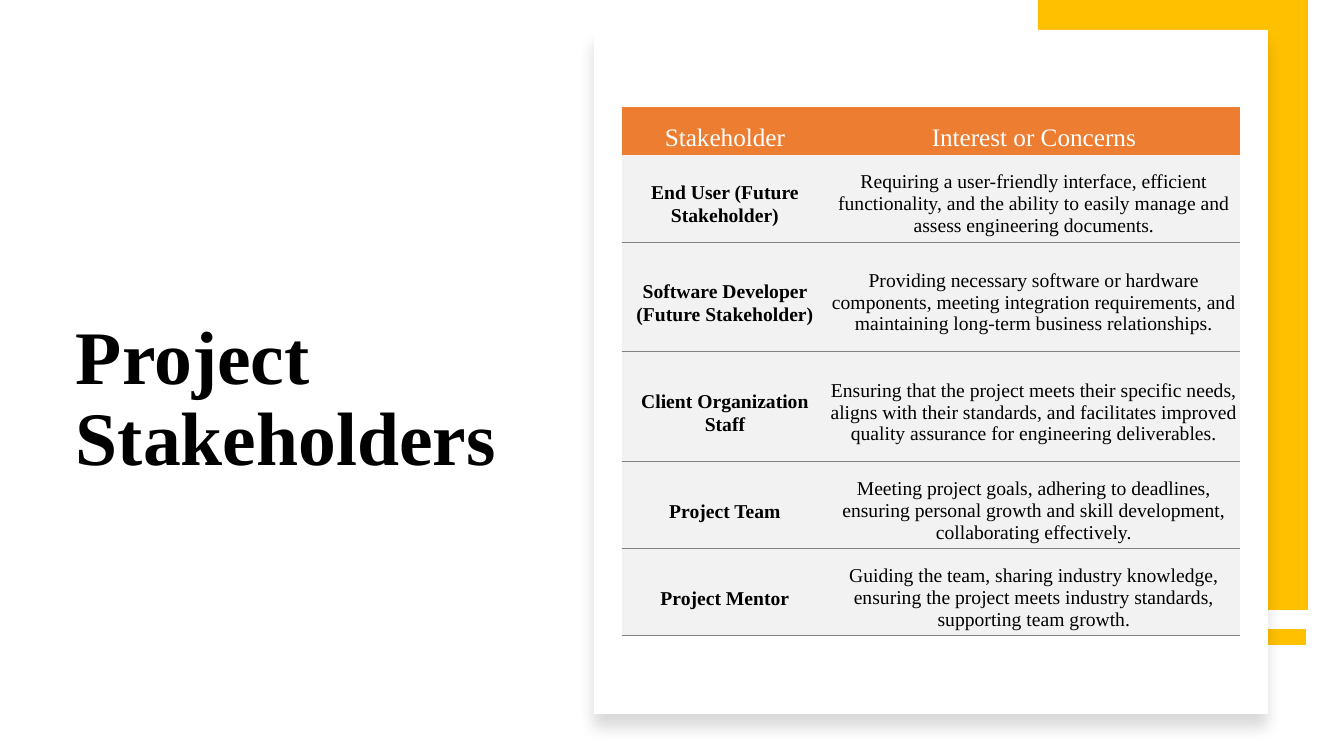
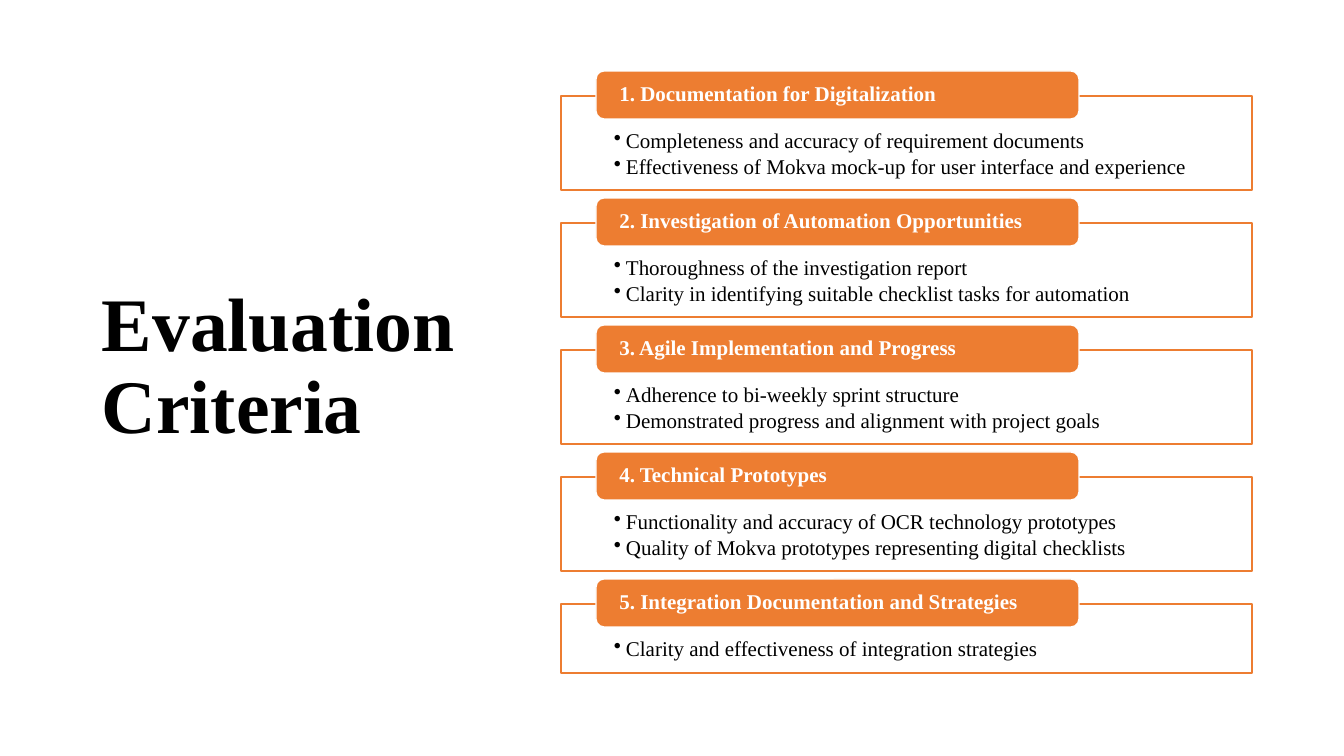
from lxml import etree
from pptx import Presentation
from pptx.dml.color import RGBColor
from pptx.enum.shapes import MSO_CONNECTOR, MSO_SHAPE
from pptx.enum.text import MSO_ANCHOR, PP_ALIGN
from pptx.oxml.ns import qn
from pptx.util import Emu, Pt

RECT, ROUND = MSO_SHAPE.RECTANGLE, MSO_SHAPE.ROUNDED_RECTANGLE
STRAIGHT = MSO_CONNECTOR.STRAIGHT
TOP, MID, LOW = MSO_ANCHOR.TOP, MSO_ANCHOR.MIDDLE, MSO_ANCHOR.BOTTOM
LEFT, CENTER = PP_ALIGN.LEFT, PP_ALIGN.CENTER

# Content
HEADS = ("Stakeholder", "Interest or Concerns")
HOLDERS = [
    ("End User (Future Stakeholder)",
     "Requiring a user-friendly interface, efficient functionality, and the "
     "ability to easily manage and assess engineering documents."),
    ("Software Developer (Future Stakeholder)",
     "Providing necessary software or hardware components, meeting integration "
     "requirements, and maintaining long-term business relationships."),
    ("Client Organization Staff",
     "Ensuring that the project meets their specific needs, aligns with their "
     "standards, and facilitates improved quality assurance for engineering "
     "deliverables."),
    ("Project Team",
     "Meeting project goals, adhering to deadlines, ensuring personal growth "
     "and skill development, collaborating effectively."),
    ("Project Mentor",
     "Guiding the team, sharing industry knowledge, ensuring the project meets "
     "industry standards, supporting team growth."),
]
CRITERIA = [
    ("Documentation for Digitalization",
     ["Completeness and accuracy of requirement documents",
      "Effectiveness of Mokva mock-up for user interface and experience"]),
    ("Investigation of Automation Opportunities",
     ["Thoroughness of the investigation report",
      "Clarity in identifying suitable checklist tasks for automation"]),
    ("Agile Implementation and Progress",
     ["Adherence to bi-weekly sprint structure",
      "Demonstrated progress and alignment with project goals"]),
    ("Technical Prototypes",
     ["Functionality and accuracy of OCR technology prototypes",
      "Quality of Mokva prototypes representing digital checklists"]),
    ("Integration Documentation and Strategies",
     ["Clarity and effectiveness of integration strategies"]),
]

# Shared style
FONT = "Times New Roman"
HUES = {"ink": "000000", "paper": "FFFFFF", "orange": "ED7D31",
        "gold": "FFC000", "pale": "F2F2F2", "rule": "808080"}
WIDE, HIGH = 1344, 756
SCALE = 12192000 / WIDE
NO_GRID = "{2D5ABB26-0587-4C30-8999-92F81FD0307C}"


def px(n):
    return Emu(round(n * SCALE))


def rgb(name):
    return RGBColor.from_string(HUES[name])


def node(parent, tag, **attrs):
    return etree.SubElement(parent, qn(tag), {k: str(v) for k, v in attrs.items()})


def inset(part, left, top, right, low):
    part.margin_left, part.margin_top = px(left), px(top)
    part.margin_right, part.margin_bottom = px(right), px(low)


def style(para, size, hue, bold=False, align=LEFT, lead=0.9, after=0):
    para.alignment, para.line_spacing, para.space_after = align, lead, Pt(after)
    for run in para.runs:
        font = run.font
        font.name, font.size, font.bold = FONT, Pt(size), bold
        font.color.rgb = rgb(hue)


def title(slide, text, box, anchor):
    frame = slide.shapes.add_textbox(*map(px, box)).text_frame
    frame.word_wrap, frame.vertical_anchor = True, anchor
    frame.text = text
    style(frame.paragraphs[0], 54, "ink", True)


def block(slide, kind, box, fill, edge=None):
    shape = slide.shapes.add_shape(kind, *map(px, box))
    shape.shadow.inherit = False
    shape.fill.solid()
    shape.fill.fore_color.rgb = rgb(fill)
    if edge:
        shape.line.color.rgb, shape.line.width = rgb(edge), Pt(1)
    else:
        shape.line.fill.background()
    return shape


def bullet(para):
    props = para._p.get_or_add_pPr()
    props.set("marL", str(px(12)))
    props.set("indent", str(-px(12)))
    node(props, "a:buChar", char="•")


def underline(cell):
    line = etree.Element(qn("a:lnB"), w=str(Pt(0.75)))
    node(node(line, "a:solidFill"), "a:srgbClr", val=HUES["rule"])
    cell._tc.get_or_add_tcPr().insert(0, line)


def holders(slide):
    title(slide, "Project Stakeholders", (66, 75, 460, 412), LOW)

    # Gold corner
    bar = slide.shapes.add_connector(STRAIGHT, *map(px, (1306, 637, 1038, 637)))
    bar.line.color.rgb, bar.line.width = rgb("gold"), Pt(12)
    node(bar._element.spPr, "a:effectLst")
    block(slide, RECT, (1038, 0, 270, 610), "gold")

    # Card with soft shadow
    card = block(slide, RECT, (594, 30, 674, 684), "paper")
    glow = node(card._element.spPr.find(qn("a:effectLst")), "a:outerShdw",
                blurRad=Pt(11), dist=Pt(10), dir=5400000, algn="t", rotWithShape=0)
    node(node(glow, "a:srgbClr", val=HUES["ink"]), "a:alpha", val=15000)

    # Table
    cols, rows = (206, 412), (48, 87, 110, 110, 87, 87)
    box = (622, 107, sum(cols), sum(rows))
    table = slide.shapes.add_table(len(rows), len(cols), *map(px, box)).table
    table.horz_banding = False
    table._tbl.tblPr.find(qn("a:tableStyleId")).text = NO_GRID
    for col, width in zip(table.columns, cols):
        col.width = px(width)
    for row, height in zip(table.rows, rows):
        row.height = px(height)
    for r, texts in enumerate([HEADS] + HOLDERS):
        for c, text in enumerate(texts):
            cell = table.cell(r, c)
            cell.text, cell.vertical_anchor = text, MID
            inset(cell, 1, 12, 1, 1)
            cell.fill.solid()
            cell.fill.fore_color.rgb = rgb("pale" if r else "orange")
            loose = r == 0 or c == 0
            style(cell.text_frame.paragraphs[0], 14 if r else 18,
                  "ink" if r else "paper", r > 0 and c == 0, CENTER,
                  1.07 if loose else 1, 8 if loose else 0)
            if r:
                underline(cell)


def criteria(slide):
    title(slide, "Evaluation Criteria", (92, 61, 394, 614), MID)
    top, gap = 96, 33
    for num, (head, points) in enumerate(CRITERIA, 1):
        # Outlined box with bullets
        height = 44 + 25 * len(points)
        frame = block(slide, RECT, (561, top, 691, height), "paper", "orange").text_frame
        frame.word_wrap, frame.vertical_anchor = True, TOP
        inset(frame, 53, 34, 53, 12)
        frame.text = "\n".join(points)
        for para in frame.paragraphs:
            bullet(para)
            style(para, 15, "ink", after=2.7)

        # Heading tab
        frame = block(slide, ROUND, (596, top - 25, 483, 48), "orange", "paper").text_frame
        frame.word_wrap, frame.vertical_anchor = True, MID
        inset(frame, 21, 0, 21, 0)
        frame.text = f"{num}. {head}"
        style(frame.paragraphs[0], 15, "paper", True)
        top += height + gap


def main():
    deck = Presentation()
    deck.slide_width, deck.slide_height = px(WIDE), px(HIGH)
    for build in (holders, criteria):
        build(deck.slides.add_slide(deck.slide_layouts[6]))
    deck.save("out.pptx")


if __name__ == "__main__":
    main()
